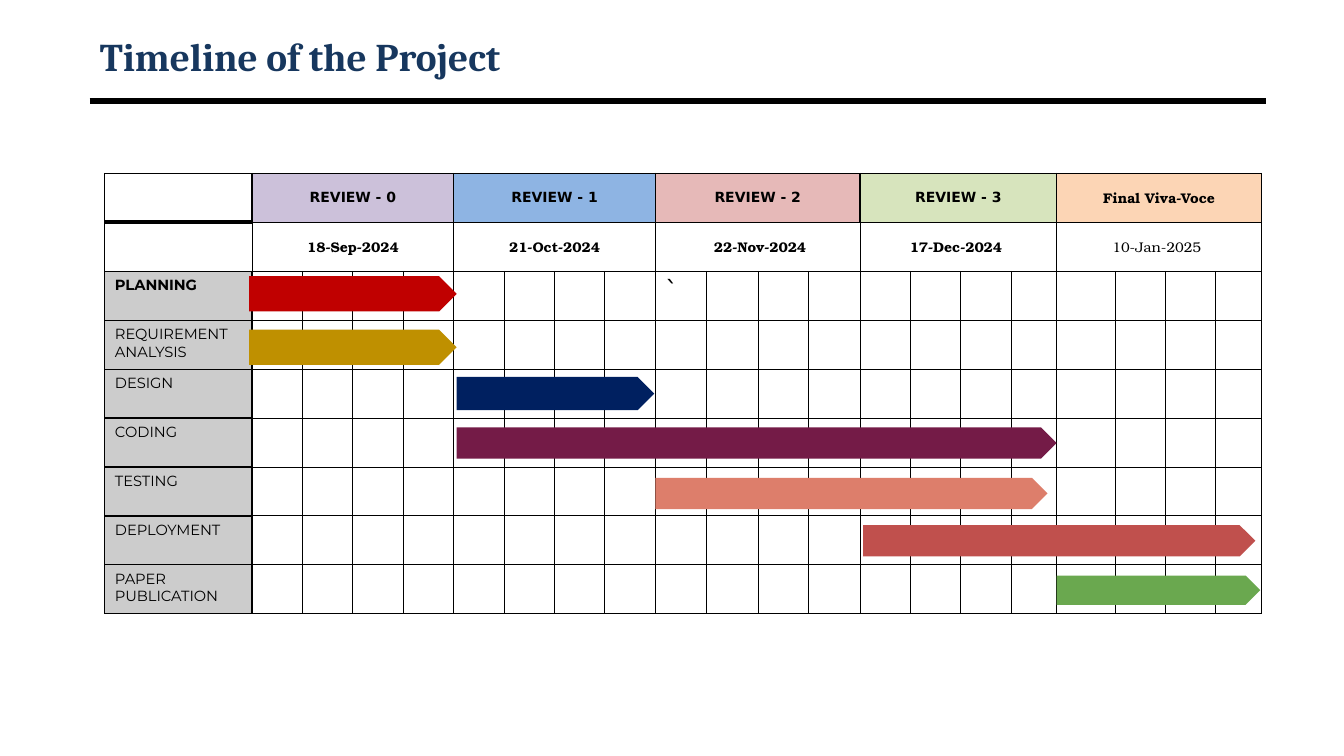
from dataclasses import dataclass

from lxml.etree import SubElement
from pptx import Presentation
from pptx.dml.color import RGBColor
from pptx.enum.shapes import MSO_CONNECTOR, MSO_SHAPE
from pptx.enum.text import MSO_ANCHOR, PP_ALIGN
from pptx.oxml.ns import qn
from pptx.util import Inches, Pt


@dataclass(frozen=True)
class Theme:
    navy: str = "17375E"
    black: str = "000000"
    white: str = "FFFFFF"
    grey: str = "CCCCCC"
    title_font: str = "Cambria"
    review_font: str = "DejaVu Sans"
    date_font: str = "TeX Gyre Bonum"
    phase_font: str = "Montserrat"
    title_size: float = 28
    header_size: float = 10
    phase_size: float = 10.5
    mark_size: float = 18


THEME = Theme()


def write_text(frame, text, font, size, color=THEME.black, bold=False,
               align=PP_ALIGN.LEFT, anchor=MSO_ANCHOR.TOP):
    frame.vertical_anchor = anchor
    para = frame.paragraphs[0]
    para.alignment = align
    span = para.add_run()
    span.text = text
    span.font.name = font
    span.font.size = Pt(size)
    span.font.bold = bold
    span.font.color.rgb = RGBColor.from_string(color)


def paint_cell(cell, fill, left=0.75, right=0.75, top=0.75, bottom=0.75):
    """Fill the cell and draw its borders, whose widths are in points."""
    properties = cell._tc.get_or_add_tcPr()
    for side, width in (("L", left), ("R", right), ("T", top), ("B", bottom)):
        border = SubElement(properties, qn(f"a:ln{side}"), w=str(Pt(width)))
        solid = SubElement(border, qn("a:solidFill"))
        SubElement(solid, qn("a:srgbClr"), val=THEME.black)
    cell.fill.solid()
    cell.fill.fore_color.rgb = RGBColor.from_string(fill)


PHASES = ["PLANNING", "REQUIREMENT ANALYSIS", "DESIGN", "CODING", "TESTING",
          "DEPLOYMENT", "PAPER PUBLICATION"]
HEADER_ROWS = 2
ROW_COUNT = HEADER_ROWS + len(PHASES)
QUARTERS = 4
GRID_TOP, GRID_HEIGHT = 1.72, 4.37

# left, column widths, label columns, first border, milestones
# (name, name font, date, date in bold, fill)
GRIDS = [
    (1.04, [1.46] + [0.5] * 8, 1, 1, [
        ("REVIEW - 0", THEME.review_font, "18-Sep-2024", True, "CCC1DA"),
        ("REVIEW - 1", THEME.review_font, "21-Oct-2024", True, "8EB4E3")]),
    (6.5, [0.51, 0.51, 0.5, 0.51, 0.5, 0.5, 0.5, 0.45], 0, 1, [
        ("REVIEW - 2", THEME.review_font, " 22-Nov-2024", True, "E6B9B8"),
        ("REVIEW - 3", THEME.review_font, "17-Dec-2024 ", True, "D7E4BD")]),
    (10.48, [0.58, 0.5, 0.5, 0.45], 0, 0.75, [
        ("Final Viva-Voce", THEME.date_font, "10-Jan-2025 ", False, "FCD5B5")]),
]

# left, top, width, height, fill
PHASE_BARS = [
    (2.47, 2.74, 2.06, 0.35, "C00000"),
    (2.47, 3.27, 2.06, 0.35, "BF9000"),
    (4.53, 3.74, 1.96, 0.33, "002060"),
    (4.53, 4.24, 5.95, 0.31, "741B47"),
    (6.5, 4.74, 3.89, 0.31, "DD7E6B"),
    (10.48, 5.71, 2.02, 0.29, "6AA84F"),
    (8.56, 5.21, 3.89, 0.31, "C0504D"),
]

deck = Presentation()
deck.slide_width, deck.slide_height = Inches(13.33), Inches(7.5)
page = deck.slides.add_slide(deck.slide_layouts[5])

title = page.shapes.title
title.left, title.top = Inches(0.89), Inches(0.29)
title.width, title.height = Inches(11.67), Inches(0.53)
write_text(title.text_frame, "Timeline of the Project", THEME.title_font,
           THEME.title_size, color=THEME.navy, bold=True,
           anchor=MSO_ANCHOR.MIDDLE)

title_rule = page.shapes.add_connector(
    MSO_CONNECTOR.STRAIGHT, Inches(0.89), Inches(1), Inches(12.56), Inches(1))
title_rule.line.color.rgb = RGBColor.from_string(THEME.black)
title_rule.line.width = Pt(4.5)
SubElement(title_rule._element.spPr, qn("a:effectLst"))

for left, widths, label_columns, first_border, milestones in GRIDS:
    table = page.shapes.add_table(
        ROW_COUNT, len(widths), Inches(left), Inches(GRID_TOP),
        Inches(sum(widths)), Inches(GRID_HEIGHT)).table
    table.first_row = table.horz_banding = False
    for column, width in zip(table.columns, widths):
        column.width = Inches(width)
    for row in table.rows:
        row.height = Inches(GRID_HEIGHT / ROW_COUNT)

    for number, (name, name_font, date, date_bold, fill) in enumerate(milestones):
        start = label_columns + number * QUARTERS
        end = start + QUARTERS
        for column in range(start, end):
            paint_cell(table.cell(0, column), fill, left=1, right=1, top=1)
            paint_cell(table.cell(1, column), THEME.white)
        for row, text, font, bold in ((0, name, name_font, True),
                                      (1, date, THEME.date_font, date_bold)):
            table.cell(row, start).merge(table.cell(row, end - 1))
            write_text(table.cell(row, start).text_frame, text, font,
                       THEME.header_size, bold=bold, align=PP_ALIGN.CENTER)
            table.cell(row, start).vertical_anchor = MSO_ANCHOR.MIDDLE

    for row in range(HEADER_ROWS, ROW_COUNT):
        for column in range(label_columns, len(widths)):
            paint_cell(table.cell(row, column), THEME.white,
                       left=first_border if column == label_columns else 0.75)

    if label_columns:
        paint_cell(table.cell(0, 0), THEME.white, 1, 1, 1, 3)
        paint_cell(table.cell(1, 0), THEME.white, left=1, top=3, bottom=1)
        for row, phase in enumerate(PHASES, HEADER_ROWS):
            paint_cell(table.cell(row, 0), THEME.grey, 1, 1, 1, 1)
            write_text(table.cell(row, 0).text_frame, phase, THEME.phase_font,
                       THEME.phase_size, bold=row == HEADER_ROWS)
    elif len(milestones) == 2:
        write_text(table.cell(HEADER_ROWS, 0).text_frame, "`",
                   THEME.review_font, THEME.mark_size)

for left, top, width, height, fill in PHASE_BARS:
    bar = page.shapes.add_shape(MSO_SHAPE.PENTAGON, Inches(left), Inches(top),
                                Inches(width), Inches(height))
    bar.shadow.inherit = False
    bar.fill.solid()
    bar.fill.fore_color.rgb = RGBColor.from_string(fill)
    bar.line.fill.background()

deck.save("out.pptx")
